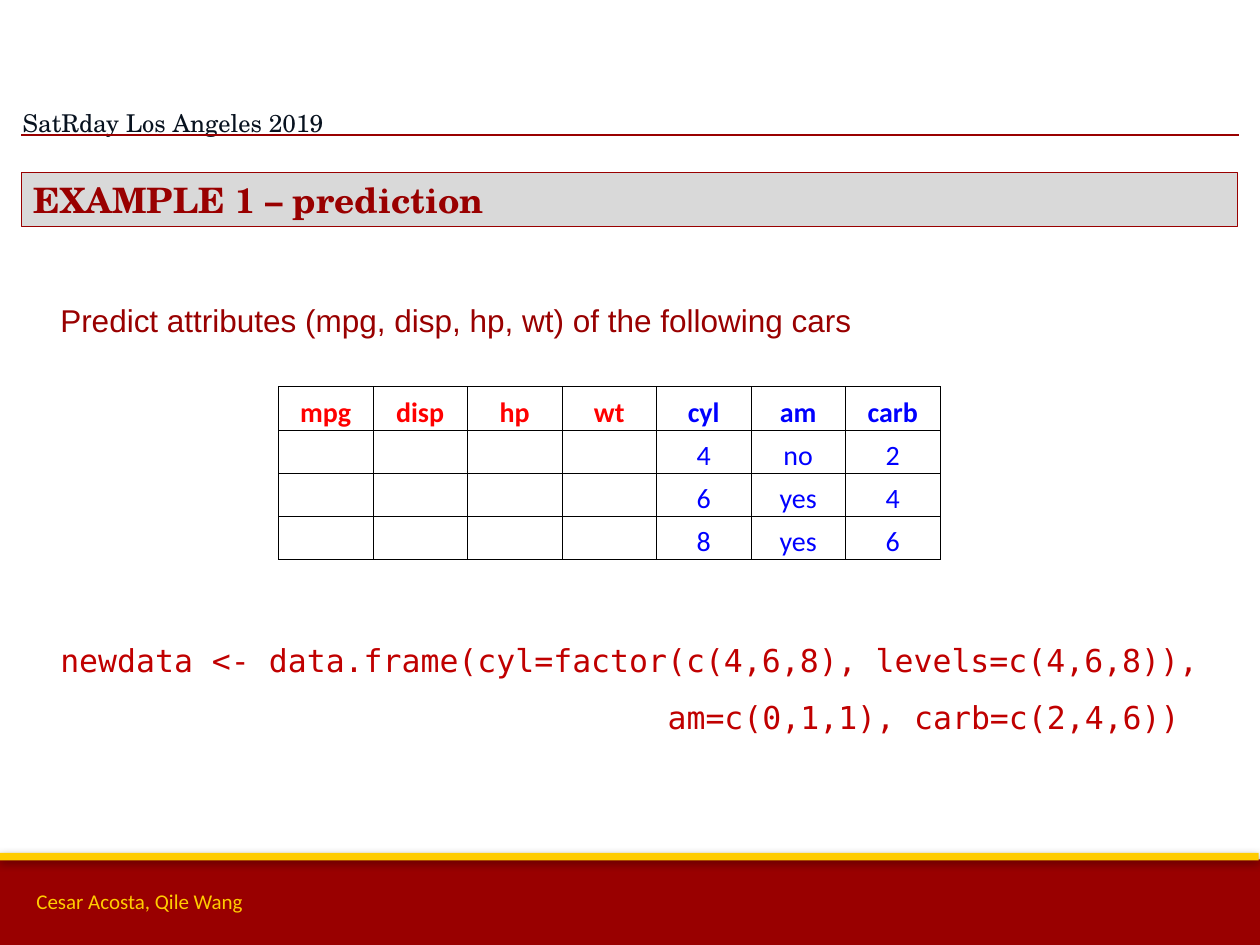
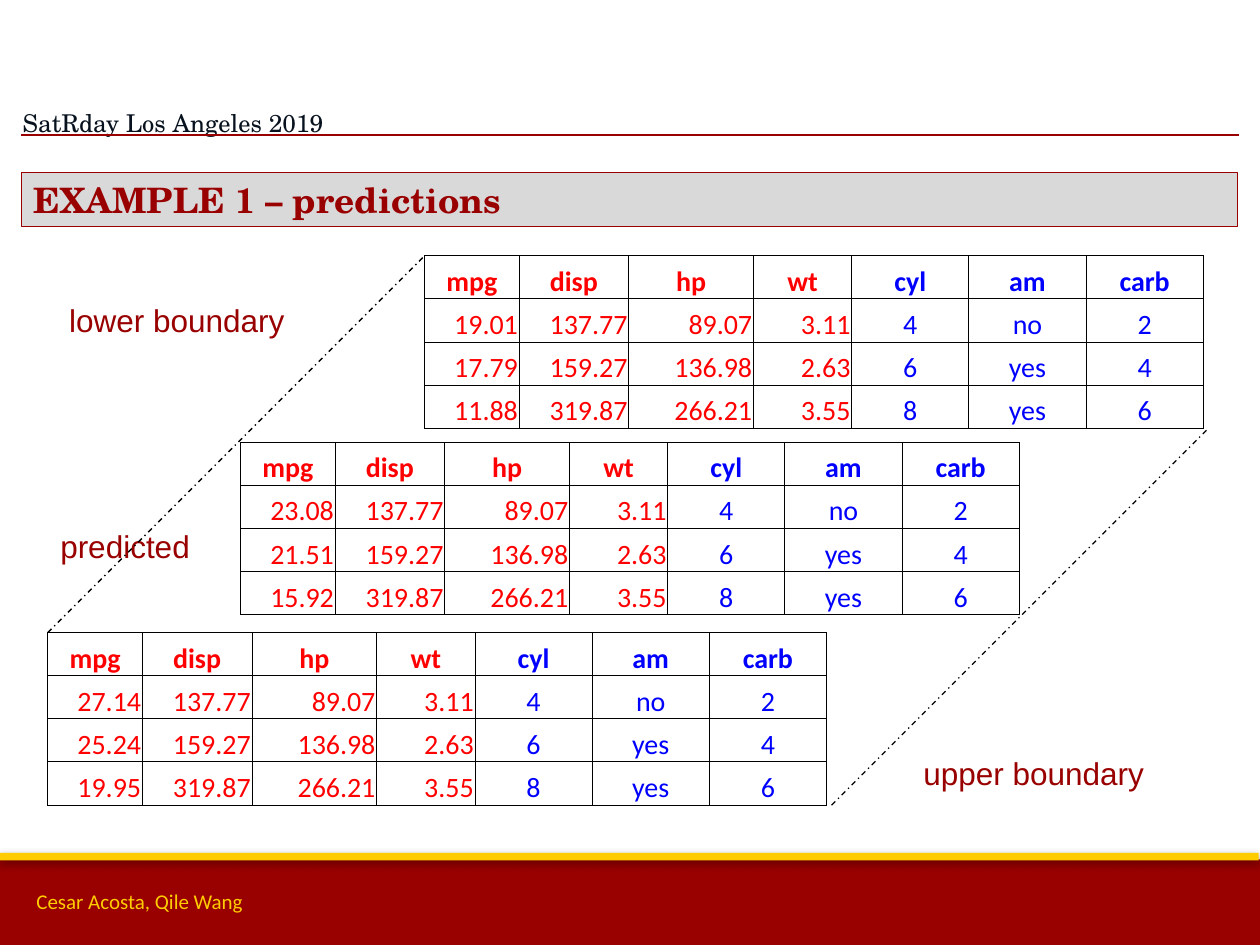
from dataclasses import dataclass
from typing import Any

import lxml.etree
import pptx
import pptx.dml.color
import pptx.enum.dml
import pptx.enum.shapes
import pptx.enum.text
import pptx.oxml
import pptx.oxml.ns
import pptx.util

Inches = pptx.util.Inches
Pt = pptx.util.Pt
RGBColor = pptx.dml.color.RGBColor
Align = pptx.enum.text.PP_ALIGN
Anchor = pptx.enum.text.MSO_ANCHOR
qn = pptx.oxml.ns.qn

CARDINAL = RGBColor(0x99, 0x00, 0x00)
GOLD = RGBColor(0xFF, 0xCC, 0x00)
TITLE_GRAY = RGBColor(0xD9, 0xD9, 0xD9)
HEADER_INK = RGBColor(0x08, 0x12, 0x1F)
CODE_RED = RGBColor(0xC0, 0x00, 0x00)
RESPONSE_RED = RGBColor(0xFF, 0x00, 0x00)
PREDICTOR_BLUE = RGBColor(0x00, 0x00, 0xFF)
BLACK = RGBColor(0x00, 0x00, 0x00)

SERIF, SANS, MONO, TABLE_FONT = "TeX Gyre Schola", "Arial", "DejaVu Sans Mono", "Calibri"

RESPONSES = ["mpg", "disp", "hp", "wt"]
PREDICTORS = ["cyl", "am", "carb"]
CARS = [["4", "no", "2"], ["6", "yes", "4"], ["8", "yes", "6"]]
FITTED = [["137.77", "89.07", "3.11"], ["159.27", "136.98", "2.63"], ["319.87", "266.21", "3.55"]]
TABLE_HEIGHT = 1.37
EQUAL_COLUMNS = [0.75] * 7
FITTED_COLUMNS = [0.75, 0.87, 0.99, 0.78] + [0.93] * 3


@dataclass(frozen=True)
class Band:
    left: float
    top: float
    height: float
    color: RGBColor
    shadow_opacity: int
    shadow_distance: float


@dataclass(frozen=True)
class BodyLine:
    text: str
    indent: float = 0
    space_before: float = 0
    font: str = SANS
    color: RGBColor = CARDINAL


@dataclass(frozen=True)
class Prediction:
    left: float
    top: float
    mpg: tuple[str, str, str]


FOOTER_BANDS = [
    Band(0, 6.82, 0.68, CARDINAL, 35, 1.8),
    Band(-0.01, 6.77, 0.06, GOLD, 38, 1.6),
]
LOWER = Prediction(3.37, 2.03, ("19.01", "17.79", "11.88"))
PREDICTED = Prediction(1.91, 3.51, ("23.08", "21.51", "15.92"))
UPPER = Prediction(0.38, 5.02, ("27.14", "25.24", "19.95"))
QUESTION_LINES = [
    BodyLine("Predict attributes (mpg, disp, hp, wt) of the following cars"),
    BodyLine("newdata <- data.frame(cyl=factor(c(4,6,8), levels=c(4,6,8)),",
             space_before=162, font=MONO, color=CODE_RED),
    BodyLine("am=c(0,1,1), carb=c(2,4,6))", indent=4.82, font=MONO, color=CODE_RED),
]
BOUNDARY_LINES = [
    BodyLine("lower boundary", indent=0.07),
    BodyLine("predicted", space_before=97),
    BodyLine("upper boundary", indent=6.85, space_before=97),
]


def write_text(paragraph: Any, text: str, *, font: str, size: float, color: RGBColor,
               bold: bool = False, align: Any = Align.LEFT, spacing: float = 1.0,
               indent: float = 0, space_before: float = 0) -> None:
    paragraph.alignment = align
    paragraph.line_spacing = spacing
    paragraph.space_before = Pt(space_before)
    if indent:
        paragraph._p.get_or_add_pPr().set("marL", str(Inches(indent)))
    run = paragraph.add_run()
    run.text = text
    run.font.name = font
    run.font.size = Pt(size)
    run.font.bold = bold
    run.font.color.rgb = color


def add_text_box(slide: Any, left: float, top: float, width: float, height: float) -> Any:
    text_frame = slide.shapes.add_textbox(
        Inches(left), Inches(top), Inches(width), Inches(height)).text_frame
    text_frame.word_wrap = True
    return text_frame


def add_body(slide: Any, lines: list[BodyLine]) -> None:
    text_frame = add_text_box(slide, 0.38, 2.19, 9.45, 4.1)
    for index, line in enumerate(lines):
        paragraph = text_frame.add_paragraph() if index else text_frame.paragraphs[0]
        write_text(paragraph, line.text, font=line.font, size=18, color=line.color,
                   spacing=1.5, indent=line.indent, space_before=line.space_before)


def add_rectangle(slide: Any, left: float, top: float, width: float, height: float,
                  color: RGBColor) -> Any:
    shape = slide.shapes.add_shape(pptx.enum.shapes.MSO_SHAPE.RECTANGLE, Inches(left),
                                   Inches(top), Inches(width), Inches(height))
    shape.shadow.inherit = False
    shape.fill.solid()
    shape.fill.fore_color.rgb = color
    shape.line.fill.background()
    return shape


def add_band(slide: Any, band: Band) -> None:
    shape = add_rectangle(slide, band.left, band.top, 10, band.height, band.color)
    effects = shape._element.spPr.find(qn("a:effectLst"))
    shadow = lxml.etree.SubElement(
        effects, qn("a:outerShdw"), blurRad=str(Pt(5)), dist=str(Pt(band.shadow_distance)),
        dir="5400000", rotWithShape="0")
    tint = lxml.etree.SubElement(shadow, qn("a:srgbClr"), val=str(BLACK))
    lxml.etree.SubElement(tint, qn("a:alpha"), val=str(band.shadow_opacity * 1000))


def set_borders(cell: Any, sides: str, color: RGBColor, width: float) -> None:
    """Rule the named sides (letters of LRTB) and clear the others."""
    properties = cell._tc.get_or_add_tcPr()
    for side in "LRTB":
        line = lxml.etree.SubElement(properties, qn(f"a:ln{side}"), w=str(Pt(width)))
        if side in sides:
            fill = lxml.etree.SubElement(line, qn("a:solidFill"))
            lxml.etree.SubElement(fill, qn("a:srgbClr"), val=str(color))
        else:
            lxml.etree.SubElement(line, qn("a:noFill"))


def add_plain_table(slide: Any, left: float, top: float, columns: list[float],
                    row_count: int, height: float) -> Any:
    table = slide.shapes.add_table(
        row_count, len(columns), Inches(left), Inches(top), Inches(sum(columns)),
        Inches(height)).table
    table.first_row = table.horz_banding = False
    for column, width in zip(table.columns, columns):
        column.width = Inches(width)
    for row in table.rows:
        row.height = Inches(height / row_count)
    return table


def format_cell(cell: Any, margin: float, sides: str, color: RGBColor, width: float) -> None:
    cell.margin_left = cell.margin_right = cell.margin_top = Inches(margin)
    cell.margin_bottom = 0
    set_borders(cell, sides, color, width)
    cell.fill.background()


def set_empty_size(cell: Any, size: float) -> None:
    """Keep an empty cell from growing past its row height."""
    paragraph = cell.text_frame.paragraphs[0]._p
    lxml.etree.SubElement(paragraph, qn("a:endParaRPr"), sz=str(int(size * 100)))


def add_car_table(slide: Any, left: float, top: float, columns: list[float],
                  responses: list[list[str]]) -> None:
    rows = [RESPONSES + PREDICTORS] + [fit + car for fit, car in zip(responses, CARS)]
    table = add_plain_table(slide, left, top, columns, len(rows), TABLE_HEIGHT)
    for row_index, row in enumerate(rows):
        for column_index, text in enumerate(row):
            cell = table.cell(row_index, column_index)
            format_cell(cell, 0.01, "LRTB", BLACK, 0.5)
            cell.vertical_anchor = Anchor.BOTTOM
            if not text:
                set_empty_size(cell, 16)
                continue
            is_header = row_index == 0
            is_response = column_index < len(RESPONSES)
            write_text(cell.text_frame.paragraphs[0], text, font=TABLE_FONT, size=16,
                       color=RESPONSE_RED if is_response else PREDICTOR_BLUE, bold=is_header,
                       align=Align.RIGHT if is_response and not is_header else Align.CENTER)


def add_prediction(slide: Any, prediction: Prediction) -> None:
    responses = [[mpg] + fit for mpg, fit in zip(prediction.mpg, FITTED)]
    add_car_table(slide, prediction.left, prediction.top, FITTED_COLUMNS, responses)


def add_guide(slide: Any, start: tuple[float, float], end: tuple[float, float]) -> None:
    connector = slide.shapes.add_connector(
        pptx.enum.shapes.MSO_CONNECTOR.STRAIGHT, *map(Inches, start + end))
    connector.line.color.rgb = BLACK
    connector.line.width = Pt(0.75)
    connector.line.dash_style = pptx.enum.dml.MSO_LINE.DASH_DOT
    lxml.etree.SubElement(connector._element.spPr, qn("a:effectLst"))


def add_title(slide: Any, title: str) -> None:
    shape = add_rectangle(slide, 0.17, 1.37, 9.65, 0.43, TITLE_GRAY)
    shape.line.color.rgb = CARDINAL
    shape.line.width = Pt(0.75)
    text_frame = shape.text_frame
    text_frame.word_wrap = True
    text_frame.vertical_anchor = Anchor.BOTTOM
    text_frame.margin_top = 0
    write_text(text_frame.paragraphs[0], title, font=SERIF, size=20, color=CARDINAL,
               bold=True, spacing=0.9)


def add_ruled_cell(slide: Any, left: float, top: float, height: float) -> Any:
    cell = add_plain_table(slide, left, top, [9.65], 1, height).cell(0, 0)
    format_cell(cell, 0, "B", CARDINAL, 1)
    return cell


def add_framed_slide(presentation: Any, title: str) -> Any:
    """Add a blank slide with the running header, title bar and footer."""
    slide = presentation.slides.add_slide(presentation.slide_layouts[6])
    for band in FOOTER_BANDS:
        add_band(slide, band)
    set_empty_size(add_ruled_cell(slide, 0.17, 0.84, 0.23), 10)
    authors = add_text_box(slide, 0.19, 7, 3.08, 0.3)
    write_text(authors.paragraphs[0], "Cesar Acosta, Qile Wang", font=TABLE_FONT, size=12,
               color=GOLD)
    header = add_ruled_cell(slide, 0.18, 0.83, 0.24)
    write_text(header.text_frame.paragraphs[0], "SatRday Los Angeles 2019", font=SERIF,
               size=14, color=HEADER_INK)
    add_title(slide, title)
    return slide


def build_question_slide(presentation: Any) -> None:
    slide = add_framed_slide(presentation, "EXAMPLE 1 – prediction")
    add_body(slide, QUESTION_LINES)
    add_car_table(slide, 2.21, 3.07, EQUAL_COLUMNS, [[""] * len(RESPONSES)] * len(CARS))


def build_answer_slide(presentation: Any) -> None:
    slide = add_framed_slide(presentation, "EXAMPLE 1 – predictions")
    add_body(slide, BOUNDARY_LINES)
    for prediction in (PREDICTED, UPPER, LOWER):
        add_prediction(slide, prediction)
    right_offset = sum(FITTED_COLUMNS) + 0.04
    for across, down in ((0, 0), (right_offset, TABLE_HEIGHT)):
        add_guide(slide, (UPPER.left + across, UPPER.top + down),
                  (LOWER.left + across, LOWER.top + down))


def main() -> None:
    presentation = pptx.Presentation()
    presentation.slide_width = Inches(10)
    presentation.slide_height = Inches(7.5)
    build_question_slide(presentation)
    build_answer_slide(presentation)
    presentation.save("out.pptx")


if __name__ == "__main__":
    main()
